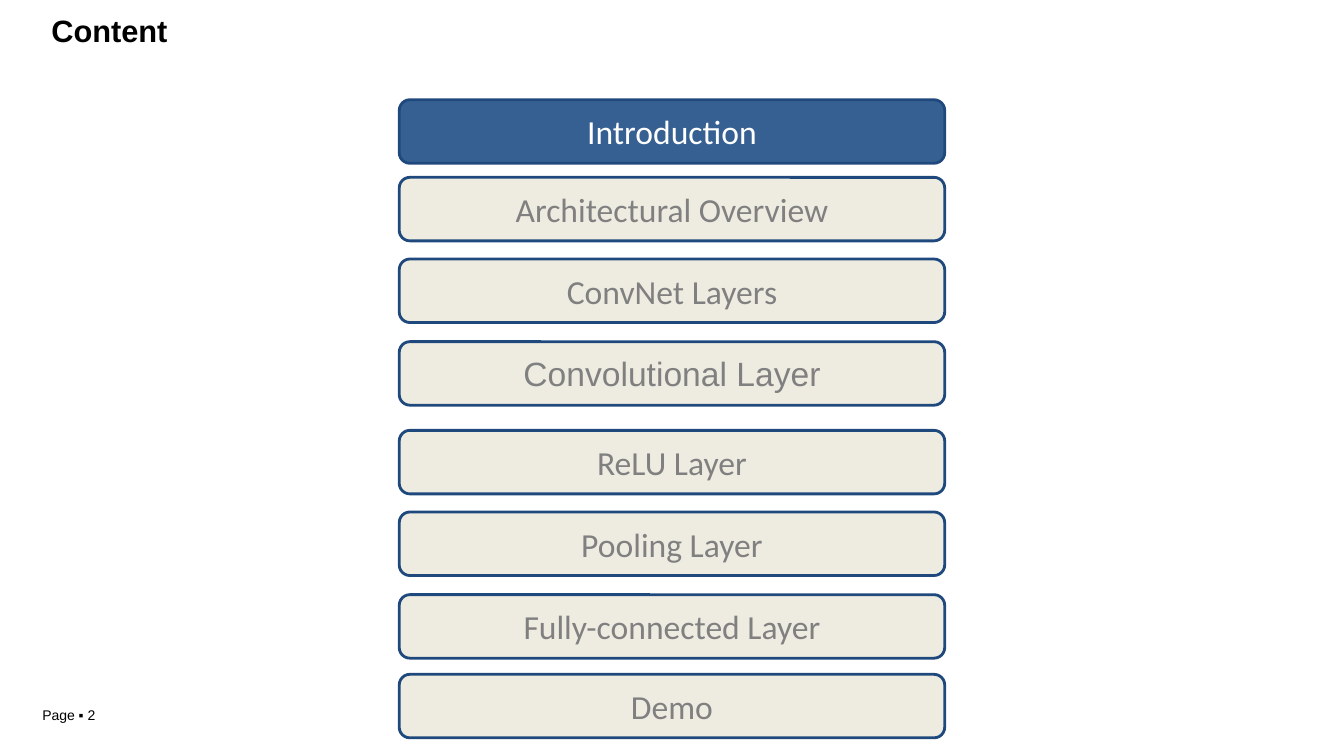
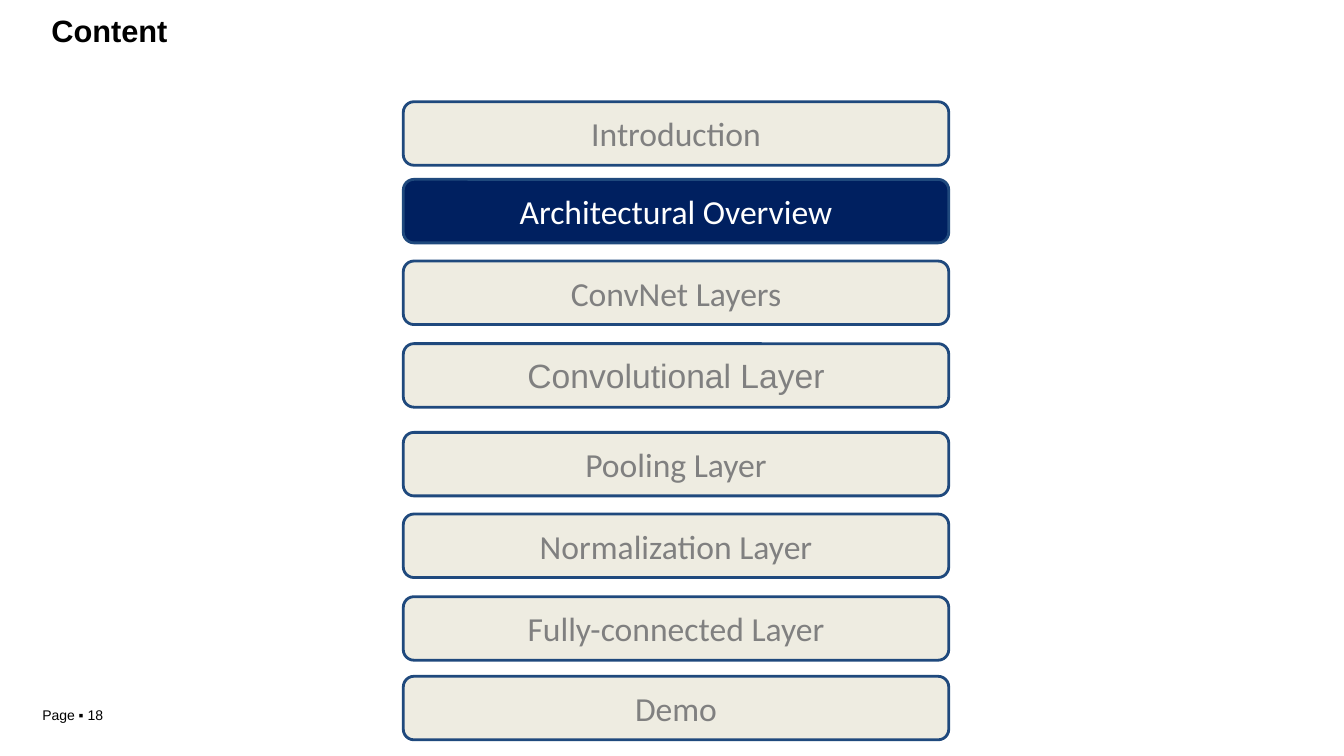
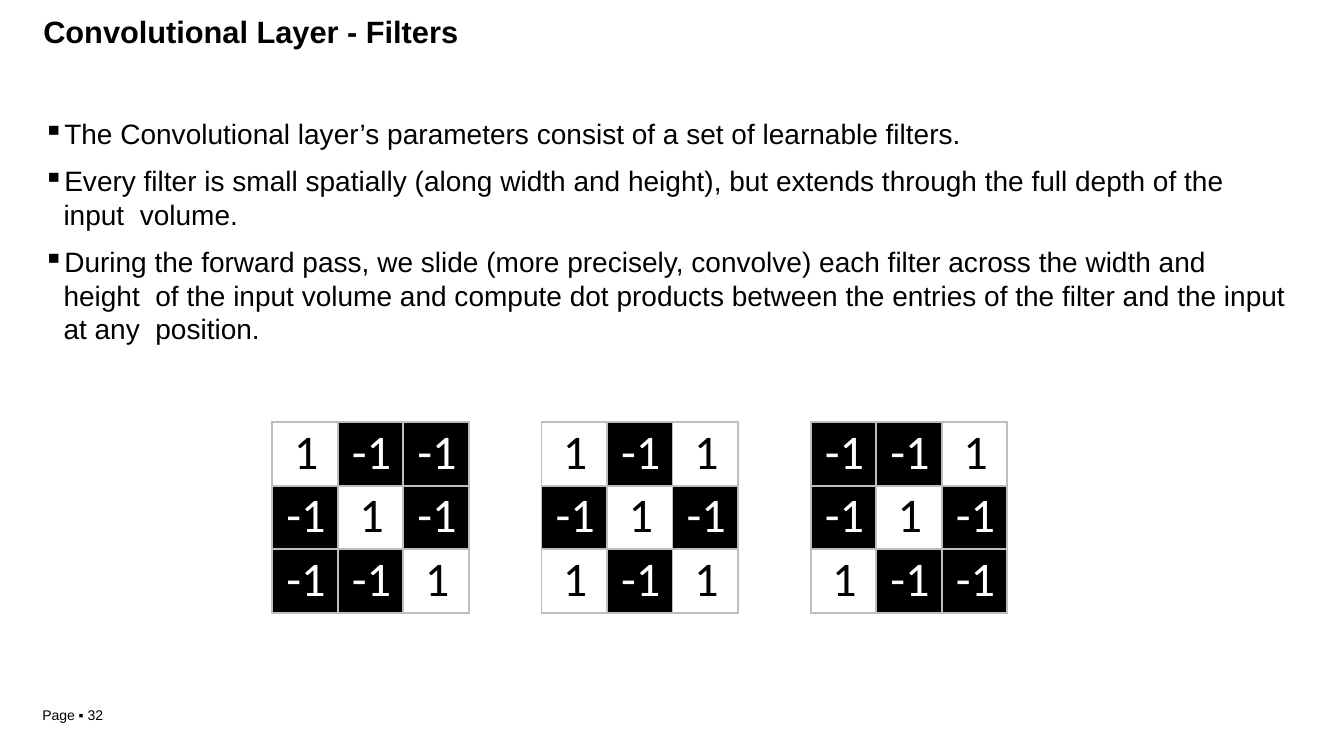
from pptx import Presentation, util as u
from pptx.dml import color as col
from pptx.enum import shapes, text
from pptx.oxml import ns
from lxml import etree

INCH = u.Inches


def rgb(code):
    return col.RGBColor.from_string(code)


class Deck:
    black, white, grey = "000000", "FFFFFF", "808080"
    cream, navy, rule = "EEECE1", "1F497D", "BEBEBE"
    sans, body = "Arial", "Calibri"

    def __init__(self):
        self.show = Presentation()
        self.show.slide_width = INCH(13.33)
        self.show.slide_height = INCH(7.5)
        self.slide = None

    def start(self, title, page, left=0.5, top=0.11, width=1.33):
        self.slide = self.show.slides.add_slide(self.show.slide_layouts[6])
        self.label([title], left, top, width, 0.38, 22, bold=True, inset=0.01)
        self.label([f"Page ▪ {page}"], 0.41, 7.01, 0.67, 0.18, 10)

    def style(self, para, size, tint, font, bold=False):
        for run in para.runs:
            run.font.size = u.Pt(size)
            run.font.name = font
            run.font.bold = bold
            run.font.color.rgb = rgb(tint)

    def label(self, lines, left, top, width, height, size, bold=False, inset=0):
        box = self.slide.shapes.add_textbox(
            INCH(left), INCH(top), INCH(width), INCH(height))
        frame = box.text_frame
        frame.word_wrap = True
        frame.margin_left = frame.margin_right = frame.margin_bottom = 0
        frame.margin_top = INCH(inset)
        frame.text = "\n".join(lines)
        for para in frame.paragraphs:
            self.indent(para, 0.01)
            self.style(para, size, self.black, self.sans, bold)
        return frame

    def indent(self, para, left, first=0):
        props = para._p.get_or_add_pPr()
        props.set("marL", str(INCH(left)))
        props.set("indent", str(INCH(first)))
        return props

    def bullets(self, lines, left, top, width, height):
        frame = self.label(lines, left, top, width, height, 20, inset=0.15)
        for i, para in enumerate(frame.paragraphs):
            props = self.indent(para, 0.21, -0.2)
            mark = etree.SubElement(props, ns.qn("a:buChar"))
            mark.set("char", "▪")
            if i:
                para.space_before = u.Pt(9.6)

    def button(self, words, left, top, fill, tint, font):
        box = self.slide.shapes.add_shape(
            shapes.MSO_SHAPE.ROUNDED_RECTANGLE,
            INCH(left), INCH(top), INCH(5.41), INCH(0.63))
        box.shadow.inherit = False
        box.fill.solid()
        box.fill.fore_color.rgb = rgb(fill)
        box.line.color.rgb = rgb(self.navy)
        box.line.width = u.Pt(2)
        frame = box.text_frame
        frame.text = words
        frame.vertical_anchor = text.MSO_ANCHOR.MIDDLE
        para = frame.paragraphs[0]
        para.alignment = text.PP_ALIGN.CENTER
        self.style(para, 24, tint, font)

    def agenda(self, topics, left, top, active, fill):
        steps = (0, 0.77, 1.58, 2.4, 3.28, 4.09, 4.91, 5.7)
        for topic, step in zip(topics, steps):
            font = self.sans if topic == "Convolutional Layer" else self.body
            back, tint = self.cream, self.grey
            if topic == active:
                back, tint = fill, self.white
            self.button(topic, left, top + step, back, tint, font)

    def border(self, cell):
        props = cell._tc.get_or_add_tcPr()
        for side in ("lnL", "lnR", "lnT", "lnB"):
            line = etree.SubElement(props, ns.qn(f"a:{side}"))
            line.set("w", str(u.Pt(1.5)))
            fill = etree.SubElement(line, ns.qn("a:solidFill"))
            etree.SubElement(fill, ns.qn("a:srgbClr")).set("val", self.rule)

    def matrix(self, rows, left, top):
        size = len(rows)
        grid = self.slide.shapes.add_table(
            size, size, INCH(left), INCH(top),
            INCH(0.65 * size), INCH(0.63 * size)).table
        grid.first_row = grid.horz_banding = False
        for r, row in enumerate(rows):
            for c, value in enumerate(row):
                self.entry(grid.cell(r, c), value)

    def entry(self, cell, value):
        cell.margin_left = cell.margin_right = cell.margin_bottom = 0
        cell.margin_top = INCH(0.01)
        self.border(cell)
        if value < 0:
            cell.fill.solid()
            cell.fill.fore_color.rgb = rgb(self.black)
        else:
            cell.fill.background()
        cell.text = str(value)
        para = cell.text_frame.paragraphs[0]
        para.alignment = text.PP_ALIGN.CENTER
        self.indent(para, 0.02)
        self.style(para, 34.5, self.white if value < 0 else self.black, self.body)


def main():
    deck = Deck()
    head = ["Introduction", "Architectural Overview", "ConvNet Layers",
            "Convolutional Layer"]
    tail = ["Fully-connected Layer", "Demo"]

    deck.start("Content", 2)
    deck.agenda(head + ["ReLU Layer", "Pooling Layer"] + tail,
                3.96, 0.99, "Introduction", "376092")

    deck.start("Content", 18)
    deck.agenda(head + ["Pooling Layer", "Normalization Layer"] + tail,
                4, 1.01, "Architectural Overview", "002060")

    deck.start("Convolutional Layer - Filters", 32, 0.42, 0.12, 4.3)
    deck.bullets([
        "The Convolutional layer’s parameters consist of a set of learnable filters.",
        "Every filter is small spatially (along width and height), but extends "
        "through the full depth of the input  volume.",
        "During the forward pass, we slide (more precisely, convolve) each filter "
        "across the width and height  of the input volume and compute dot products "
        "between the entries of the filter and the input at any  position.",
    ], 0.42, 1.01, 12.38, 2.43)
    falling = [[1, -1, -1], [-1, 1, -1], [-1, -1, 1]]
    cross = [[1, -1, 1], [-1, 1, -1], [1, -1, 1]]
    for i, rows in enumerate((falling, cross, falling[::-1])):
        deck.matrix(rows, 2.7 + 2.67 * i, 4.19)

    deck.show.save("out.pptx")


if __name__ == "__main__":
    main()
